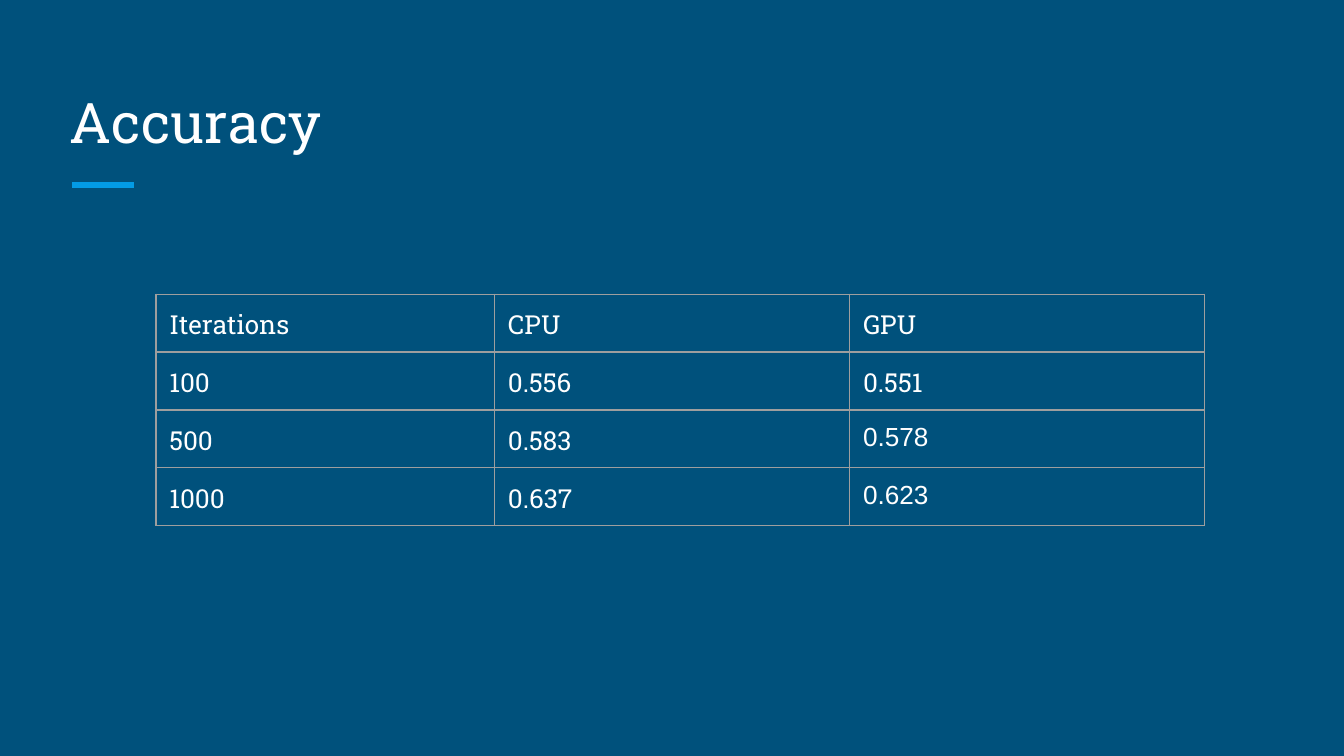
from dataclasses import dataclass

from lxml.etree import SubElement
from pptx import Presentation
from pptx.dml.color import RGBColor
from pptx.enum.shapes import MSO_CONNECTOR
from pptx.enum.text import MSO_ANCHOR
from pptx.oxml import parse_xml
from pptx.oxml.ns import nsdecls, qn
from pptx.slide import Slide
from pptx.table import _Cell
from pptx.util import Cm, Pt


@dataclass(frozen=True)
class Theme:
    background: RGBColor = RGBColor(0x00, 0x51, 0x7C)
    accent: RGBColor = RGBColor(0x03, 0x9B, 0xE5)
    text: RGBColor = RGBColor(0xFF, 0xFF, 0xFF)
    border: RGBColor = RGBColor(0x9E, 0x9E, 0x9E)
    font: str = "Roboto Slab"
    plain_font: str = "Arial"
    title_size: Pt = Pt(30)
    table_size: Pt = Pt(14)
    accent_width: Pt = Pt(3)
    border_width: Pt = Pt(0.75)
    inset: Cm = Cm(0.25)


@dataclass(frozen=True)
class AccuracyRow:
    iterations: str
    cpu: str
    gpu: str
    gpu_font: str


THEME = Theme()
ROWS = [
    AccuracyRow("Iterations", "CPU", "GPU", THEME.font),
    AccuracyRow("100", "0.556", "0.551", THEME.font),
    AccuracyRow("500", "0.583", "0.578", THEME.plain_font),
    AccuracyRow("1000", "0.637", "0.623", THEME.plain_font),
]
COLUMN_WIDTHS = [Cm(6.4), Cm(6.71), Cm(6.71)]
ROW_HEIGHT = Cm(1.07)


def write_text(holder, text: str, size: Pt, font: str) -> None:
    """Fill a text frame or a cell with one styled paragraph."""
    holder.margin_left = holder.margin_right = THEME.inset
    holder.margin_top = holder.margin_bottom = THEME.inset
    frame = holder.text_frame if isinstance(holder, _Cell) else holder
    paragraph = frame.paragraphs[0]
    paragraph.text = text
    paragraph.font.size = size
    paragraph.font.name = font
    paragraph.font.color.rgb = THEME.text


def add_title(slide: Slide, text: str) -> None:
    title = slide.shapes.add_textbox(Cm(1.07), Cm(1.27), Cm(23.24), Cm(1.9))
    title.text_frame.word_wrap = True
    title.text_frame.vertical_anchor = MSO_ANCHOR.BOTTOM
    write_text(title.text_frame, text, THEME.title_size, THEME.font)


def add_accent_line(slide: Slide) -> None:
    line = slide.shapes.add_connector(
        MSO_CONNECTOR.STRAIGHT, Cm(1.37), Cm(3.5), Cm(2.54), Cm(3.5)
    )
    line.line.color.rgb = THEME.accent
    line.line.width = THEME.accent_width
    SubElement(line._element.spPr, qn("a:effectLst"))


def set_borders(cell: _Cell) -> None:
    properties = cell._tc.get_or_add_tcPr()
    for index, side in enumerate(("lnL", "lnR", "lnT", "lnB")):
        border = parse_xml(
            f'<a:{side} {nsdecls("a")} w="{THEME.border_width}"><a:solidFill>'
            f'<a:srgbClr val="{THEME.border}"/></a:solidFill></a:{side}>'
        )
        properties.insert(index, border)


def add_accuracy_table(slide: Slide, rows: list[AccuracyRow]) -> None:
    table = slide.shapes.add_table(
        len(rows), len(COLUMN_WIDTHS), Cm(2.95), Cm(5.56),
        sum(COLUMN_WIDTHS), ROW_HEIGHT * len(rows),
    ).table
    table.first_row = table.horz_banding = False
    for column, width in zip(table.columns, COLUMN_WIDTHS):
        column.width = width
    for table_row, row in zip(table.rows, rows):
        table_row.height = ROW_HEIGHT
        texts = (row.iterations, row.cpu, row.gpu)
        fonts = (THEME.font, THEME.font, row.gpu_font)
        for cell, text, font in zip(table_row.cells, texts, fonts):
            write_text(cell, text, THEME.table_size, font)
            cell.fill.background()
            set_borders(cell)


def main() -> None:
    presentation = Presentation()
    presentation.slide_width = Cm(25.4)
    presentation.slide_height = Cm(14.29)
    slide = presentation.slides.add_slide(presentation.slide_layouts[6])
    slide.background.fill.solid()
    slide.background.fill.fore_color.rgb = THEME.background
    add_accent_line(slide)
    add_title(slide, "Accuracy")
    add_accuracy_table(slide, ROWS)
    presentation.save("out.pptx")


if __name__ == "__main__":
    main()
